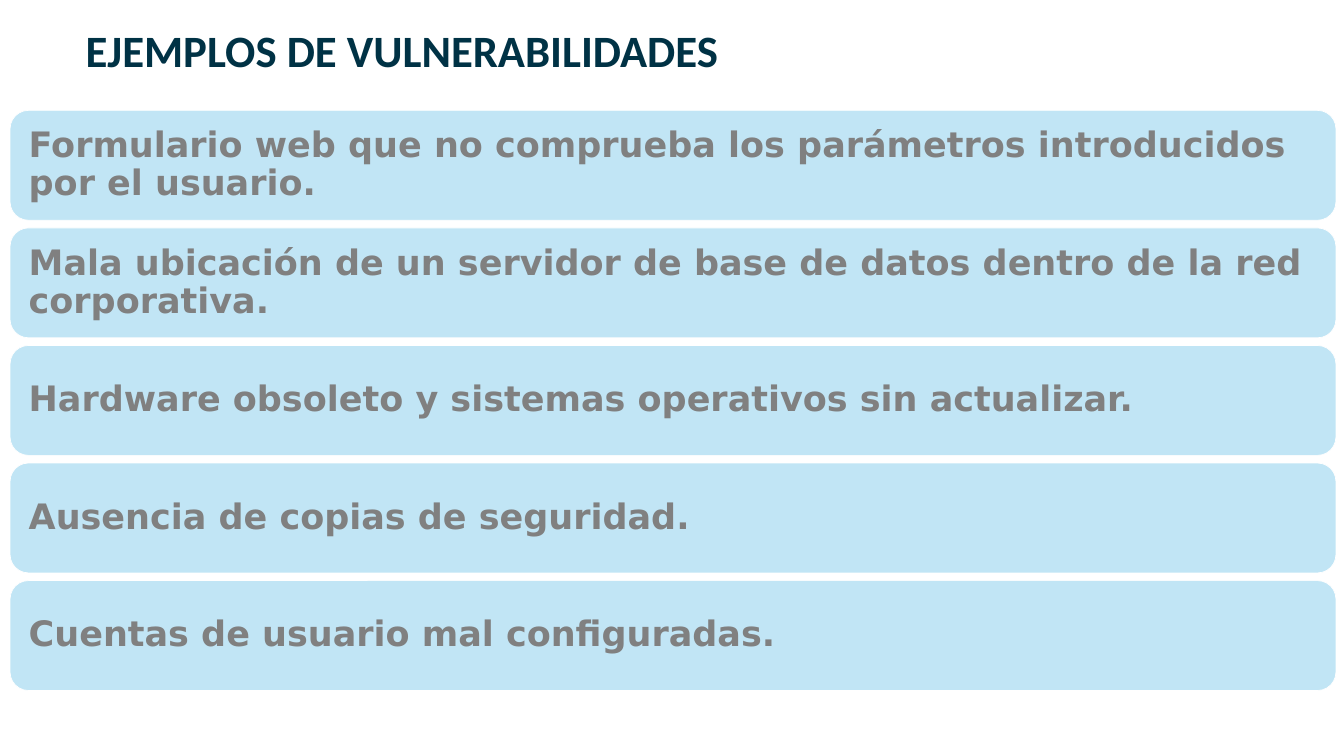
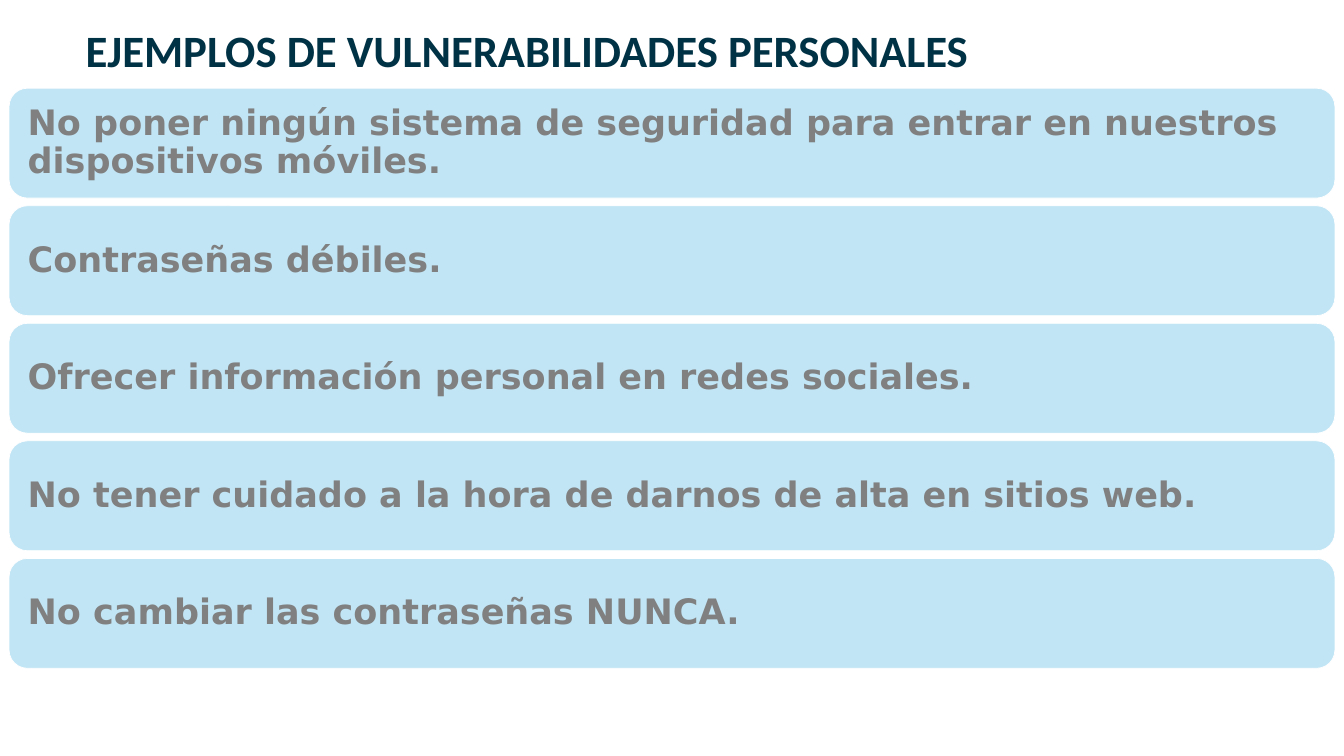
from dataclasses import dataclass

from pptx import Presentation
from pptx.dml.color import RGBColor
from pptx.enum.shapes import MSO_SHAPE
from pptx.enum.text import MSO_ANCHOR, MSO_AUTO_SIZE, PP_ALIGN
from pptx.util import Inches, Pt


@dataclass(frozen=True)
class TextStyle:
    font: str
    size: int
    color: RGBColor
    line_spacing: float
    inset_x: float
    inset_y: float
    anchor: MSO_ANCHOR
    auto_size: MSO_AUTO_SIZE


@dataclass(frozen=True)
class Theme:
    bar_fill: RGBColor
    bar_line: RGBColor
    title: TextStyle
    label: TextStyle


@dataclass(frozen=True)
class ExampleSlide:
    title: str
    left: float
    top: float
    examples: tuple[str, ...]


THEME = Theme(
    bar_fill=RGBColor.from_string("C1E5F5"),
    bar_line=RGBColor.from_string("FFFFFF"),
    title=TextStyle("Calibri", 64, RGBColor.from_string("003245"), 1.07,
                    0.2, 0.1, MSO_ANCHOR.TOP, MSO_AUTO_SIZE.SHAPE_TO_FIT_TEXT),
    label=TextStyle("DejaVu Sans", 50, RGBColor.from_string("808080"), 0.9,
                    0.21, 0.21, MSO_ANCHOR.MIDDLE, MSO_AUTO_SIZE.NONE),
)

# Bar geometry, in inches
BAR_WIDTH, BAR_HEIGHT = 26.31, 2.18
STACK_HEIGHT = 11.51
BAR_ROUNDING = 0.167
LABEL_DX, LABEL_DY = 0.16, 0.11

SLIDES = (
    ExampleSlide("EJEMPLOS DE VULNERABILIDADES", 0.2, 2.19, (
        "Formulario web que no comprueba los parámetros introducidos por el usuario.",
        "Mala ubicación de un servidor de base de datos dentro de la red corporativa.",
        "Hardware obsoleto y sistemas operativos sin actualizar.",
        "Ausencia de copias de seguridad.",
        "Cuentas de usuario mal configuradas.",
    )),
    ExampleSlide("EJEMPLOS DE VULNERABILIDADES PERSONALES", 0.18, 1.75, (
        "No poner ningún sistema de seguridad para entrar en nuestros dispositivos móviles.",
        "Contraseñas débiles.",
        "Ofrecer información personal en redes sociales.",
        "No tener cuidado a la hora de darnos de alta en sitios web.",
        "No cambiar las contraseñas NUNCA.",
    )),
)


def set_attributes(target, values: dict) -> None:
    for name, value in values.items():
        setattr(target, name, value)


def write_text(sp, text: str, style: TextStyle) -> None:
    tf = sp.text_frame
    set_attributes(tf, {
        "word_wrap": True,
        "auto_size": style.auto_size,
        "vertical_anchor": style.anchor,
        "margin_left": Inches(style.inset_x),
        "margin_right": Inches(style.inset_x),
        "margin_top": Inches(style.inset_y),
        "margin_bottom": Inches(style.inset_y),
    })
    p = tf.paragraphs[0]
    set_attributes(p, {"alignment": PP_ALIGN.LEFT,
                       "line_spacing": style.line_spacing})
    r = p.add_run()
    r.text = text
    set_attributes(r.font, {"name": style.font, "size": Pt(style.size), "bold": True})
    r.font.color.rgb = style.color


def add_box(shapes, kind: MSO_SHAPE, left: float, top: float,
            width: float, height: float):
    sp = shapes.add_shape(kind, Inches(left), Inches(top),
                          Inches(width), Inches(height))
    sp.shadow.inherit = False
    sp.fill.solid()
    sp.fill.fore_color.rgb = THEME.bar_fill
    sp.line.fill.background()
    return sp


def add_bar(shapes, left: float, top: float, text: str) -> None:
    # Rounded bar
    bar = add_box(shapes, MSO_SHAPE.ROUNDED_RECTANGLE, left, top,
                  BAR_WIDTH, BAR_HEIGHT)
    bar.adjustments[0] = BAR_ROUNDING
    bar.line.color.rgb = THEME.bar_line
    bar.line.width = Pt(1)
    # Text area inside the rounded corners
    label = add_box(shapes, MSO_SHAPE.RECTANGLE, left + LABEL_DX, top + LABEL_DY,
                    BAR_WIDTH - 2 * LABEL_DX, BAR_HEIGHT - 2 * LABEL_DY)
    write_text(label, text, THEME.label)


def add_example_slide(prs, content: ExampleSlide) -> None:
    s = prs.slides.add_slide(prs.slide_layouts.get_by_name("Title Only"))

    # Title
    title = s.shapes.title
    set_attributes(title, {"left": Inches(1.5), "top": Inches(0.28),
                           "width": Inches(23.62), "height": Inches(1.35)})
    write_text(title, content.title, THEME.title)

    # Evenly spaced stack of bars
    group = s.shapes.add_group_shape()
    pitch = (STACK_HEIGHT - BAR_HEIGHT) / (len(content.examples) - 1)
    for i, example in enumerate(content.examples):
        add_bar(group.shapes, content.left, content.top + i * pitch, example)


def main() -> None:
    prs = Presentation()
    prs.slide_width, prs.slide_height = Inches(26.67), Inches(15)
    for content in SLIDES:
        add_example_slide(prs, content)
    prs.save("out.pptx")


if __name__ == "__main__":
    main()
